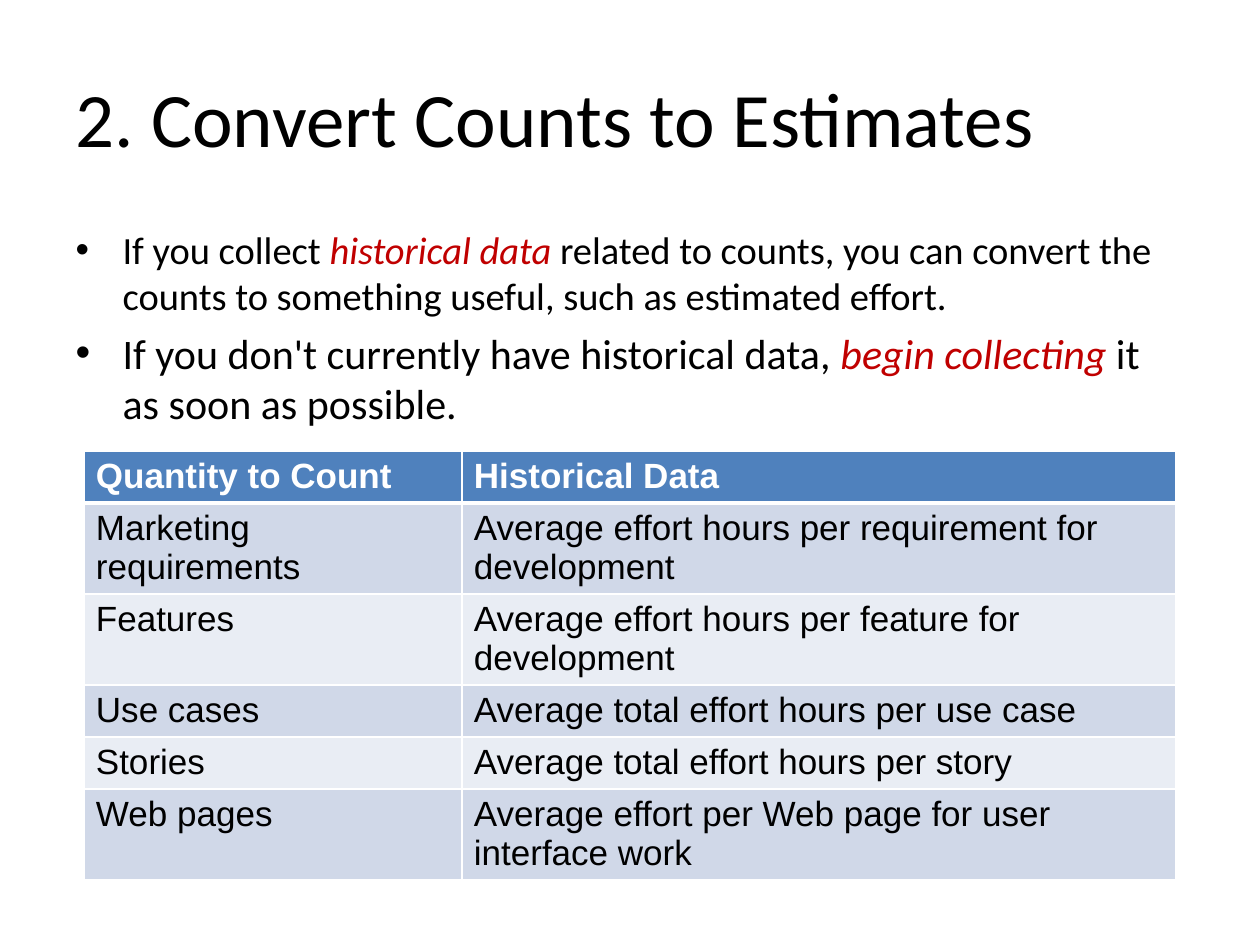
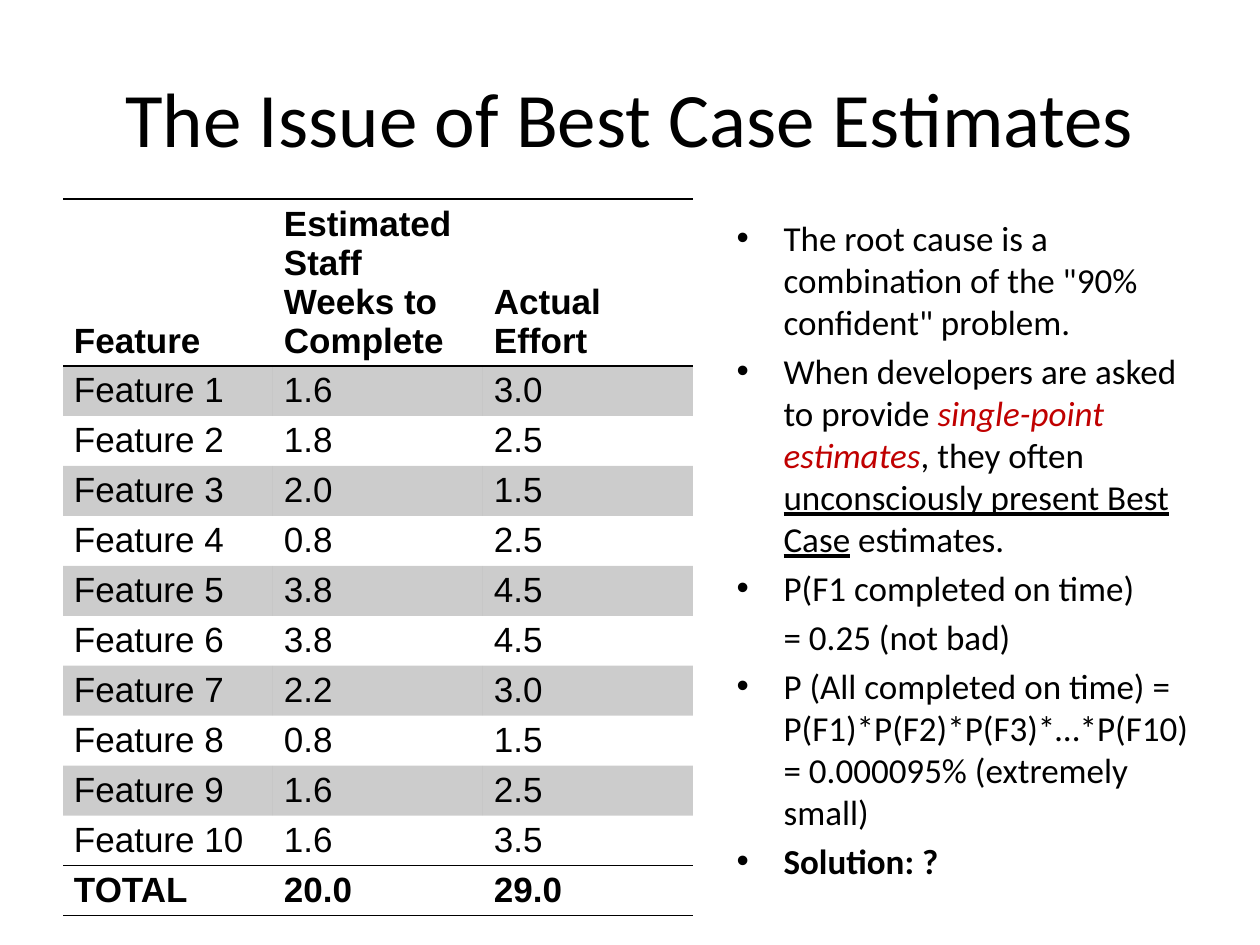
from dataclasses import dataclass

from lxml import etree
from pptx import Presentation
from pptx.dml.color import RGBColor
from pptx.enum.text import MSO_ANCHOR, MSO_AUTO_SIZE, PP_ALIGN
from pptx.oxml.ns import qn
from pptx.util import Emu, Pt

LEFT, CENTER = PP_ALIGN.LEFT, PP_ALIGN.CENTER
TOP, MIDDLE, BOTTOM = MSO_ANCHOR.TOP, MSO_ANCHOR.MIDDLE, MSO_ANCHOR.BOTTOM
NO_AUTOFIT = MSO_AUTO_SIZE.NONE
PLAIN_TABLE = "{2D5ABB26-0587-4C30-8999-92F81FD0307C}"
PX_PER_INCH = 126


@dataclass(frozen=True)
class Theme:
    text: str = "000000"
    accent: str = "C00000"
    white: str = "FFFFFF"
    header: str = "4F81BD"
    band_dark: str = "D0D8E8"
    band_light: str = "E9EDF4"
    text_font: str = "Calibri"
    table_font: str = "Arial"
    title_size: int = 44
    table_size: int = 20
    gap: float = 0.2  # paragraph gap as a share of the type size


THEME = Theme()

# Content: a bullet is (type size, has a mark, runs); a run is (text, style)
CONVERT_TITLE = "2. Convert Counts to Estimates"
CONVERT_BULLETS = [
    (22, True, [("If you collect ", ""), ("historical data", "accent"),
                (" related to counts, you can convert the counts to something "
                 "useful, such as estimated effort.", "")]),
    (24, True, [("If you don't currently have historical data, ", ""),
                ("begin collecting", "accent"), (" it as soon as possible.", "")]),
]
COUNTS = [
    ("Quantity to Count", "Historical Data"),
    ("Marketing requirements", "Average effort hours per requirement for development"),
    ("Features", "Average effort hours per feature for development"),
    ("Use cases", "Average total effort hours per use case"),
    ("Stories", "Average total effort hours per story"),
    ("Web pages", "Average effort per Web page for user interface work"),
]

ISSUE_TITLE = "The Issue of Best Case Estimates"
ISSUE_BULLETS = [
    (20, True, [("The root cause is a combination of the \"90% confident\" problem.", "")]),
    (20, True, [("When developers are asked to provide ", ""),
                ("single-point estimates", "accent"), (", they often ", ""),
                ("unconsciously present Best Case", "underline"), (" estimates.", "")]),
    (20, True, [("P(F1 completed on time)", "")]),
    (20, False, [("= 0.25 (not bad)", "")]),
    (20, True, [("P (All completed on time) = P(F1)*P(F2)*P(F3)*…*P(F10) "
                 "= 0.000095% (extremely small)", "")]),
    (20, True, [("Solution: ?", "bold")]),
]
EFFORT_HEADER = ("Feature", "Estimated Staff Weeks to Complete", "Actual Effort")
EFFORT = [("1.6", "3.0"), ("1.8", "2.5"), ("2.0", "1.5"), ("0.8", "2.5"),
          ("3.8", "4.5"), ("3.8", "4.5"), ("2.2", "3.0"), ("0.8", "1.5"),
          ("1.6", "2.5"), ("1.6", "3.5")]
EFFORT_TOTAL = ("TOTAL", "20.0", "29.0")

# Places in px: left, top, width, height
TITLE_BOX = (63, 38, 1134, 157)
CONVERT_BOX = (63, 220, 1134, 220)
ISSUE_BOX = (724, 210, 483, 693)
HANG = 47


def px(n):
    return Emu(round(n * 914400 / PX_PER_INCH))


def place(sp, box):
    sp.left, sp.top, sp.width, sp.height = map(px, box)


def style_font(font, name, size, color, bold=False):
    font.name, font.size, font.bold = name, Pt(size), bold
    font.color.rgb = RGBColor.from_string(color)


def add_slide(prs, title, align, bullets, box):
    """Add a slide with its title and bulleted body."""
    s = prs.slides.add_slide(prs.slide_layouts[1])
    sp, body = s.placeholders
    place(sp, TITLE_BOX)
    tf = sp.text_frame
    tf.text = title
    tf.vertical_anchor, tf.auto_size = MIDDLE, NO_AUTOFIT
    p = tf.paragraphs[0]
    p.alignment = align
    style_font(p.runs[0].font, THEME.text_font, THEME.title_size, THEME.text)

    place(body, box)
    tf = body.text_frame
    tf.vertical_anchor, tf.auto_size = TOP, NO_AUTOFIT
    for i, (size, marked, runs) in enumerate(bullets):
        p = tf.add_paragraph() if i else tf.paragraphs[0]
        ppr = p._p.get_or_add_pPr()
        ppr.set("marL", str(px(HANG)))
        ppr.set("indent", str(-px(HANG) if marked else 0))
        bullet = etree.SubElement(ppr, qn("a:buChar" if marked else "a:buNone"))
        if marked:
            bullet.set("char", "•")
        p.space_before = Pt(size * THEME.gap if i else 0)
        for text, style in runs:
            r = p.add_run()
            r.text = text
            accent = style == "accent"
            style_font(r.font, THEME.text_font, size,
                       THEME.accent if accent else THEME.text, style == "bold")
            r.font.italic = accent
            r.font.underline = style == "underline"
    return s


def set_borders(cell, borders):
    """Draw cell sides given as {side: (colour, points)}; sides are L, R, T, B."""
    tcpr = cell._tc.get_or_add_tcPr()
    sides = [side for side in "LRTB" if side in borders]
    for i, side in enumerate(sides):
        color, width = borders[side]
        ln = etree.Element(qn("a:ln" + side), w=str(Pt(width)))
        fill = etree.SubElement(ln, qn("a:solidFill"))
        etree.SubElement(fill, qn("a:srgbClr"), val=color)
        tcpr.insert(i, ln)


def set_fill(cell, color, alpha=None):
    if color is None:
        cell.fill.background()
        return
    cell.fill.solid()
    cell.fill.fore_color.rgb = RGBColor.from_string(color)
    if alpha:
        clr = cell._tc.tcPr.find(".//" + qn("a:srgbClr"))
        etree.SubElement(clr, qn("a:alpha"), val=str(alpha * 1000))


def add_table(s, rows, left, top, widths, heights, row_style):
    """Add a table; row_style(i) gives the look of row i."""
    frame = s.shapes.add_table(len(rows), len(widths), px(left), px(top),
                               px(sum(widths)), px(sum(heights)))
    table = frame.table
    table.first_row = table.horz_banding = False
    table._tbl.tblPr.find(qn("a:tableStyleId")).text = PLAIN_TABLE
    for col, width in zip(table.columns, widths):
        col.width = px(width)
    for i, (values, height) in enumerate(zip(rows, heights)):
        table.rows[i].height = px(height)
        look = row_style(i)
        for cell, value in zip(table.rows[i].cells, values):
            cell.text = value
            cell.vertical_anchor = look.get("anchor", TOP)
            cell.margin_left = cell.margin_right = px(look["inset"][0])
            cell.margin_top = cell.margin_bottom = px(look["inset"][1])
            style_font(cell.text_frame.paragraphs[0].runs[0].font, THEME.table_font,
                       THEME.table_size, look.get("color", THEME.text), look["bold"])
            set_fill(cell, look["fill"], look.get("alpha"))
            set_borders(cell, look["borders"])


def counts_row(i):
    head = i == 0
    thin, thick = (THEME.white, 1), (THEME.white, 3)
    band = THEME.band_dark if i % 2 else THEME.band_light
    return {"bold": head, "inset": (12, 6),
            "color": THEME.white if head else THEME.text,
            "fill": THEME.header if head else band,
            "borders": {"L": thin, "R": thin, "T": thick if i == 1 else thin,
                        "B": thick if head else thin}}


def effort_row(i):
    head, total = i == 0, i == len(EFFORT) + 1
    rule = (THEME.text, 1)
    shaded = i % 2 == 1 and not total
    return {"bold": head or total, "inset": (11, 5),
            "anchor": BOTTOM if head else TOP,
            "fill": THEME.text if shaded else None, "alpha": 20,
            "borders": {"T": rule, "B": rule} if head or total else {}}


def main():
    prs = Presentation()
    prs.slide_width, prs.slide_height = px(1260), px(945)

    # Counts and the historical data they need
    s = add_slide(prs, CONVERT_TITLE, LEFT, CONVERT_BULLETS, CONVERT_BOX)
    add_table(s, COUNTS, 84, 451, (378, 714), (52, 91, 91, 52, 52, 91), counts_row)

    # Estimated against actual effort
    s = add_slide(prs, ISSUE_TITLE, CENTER, ISSUE_BULLETS, ISSUE_BOX)
    features = [(f"Feature {n}", *values) for n, values in enumerate(EFFORT, 1)]
    rows = [EFFORT_HEADER, *features, EFFORT_TOTAL]
    add_table(s, rows, 63, 199, [210] * 3, [167] + [50] * (len(rows) - 1), effort_row)

    prs.save("out.pptx")


if __name__ == "__main__":
    main()
